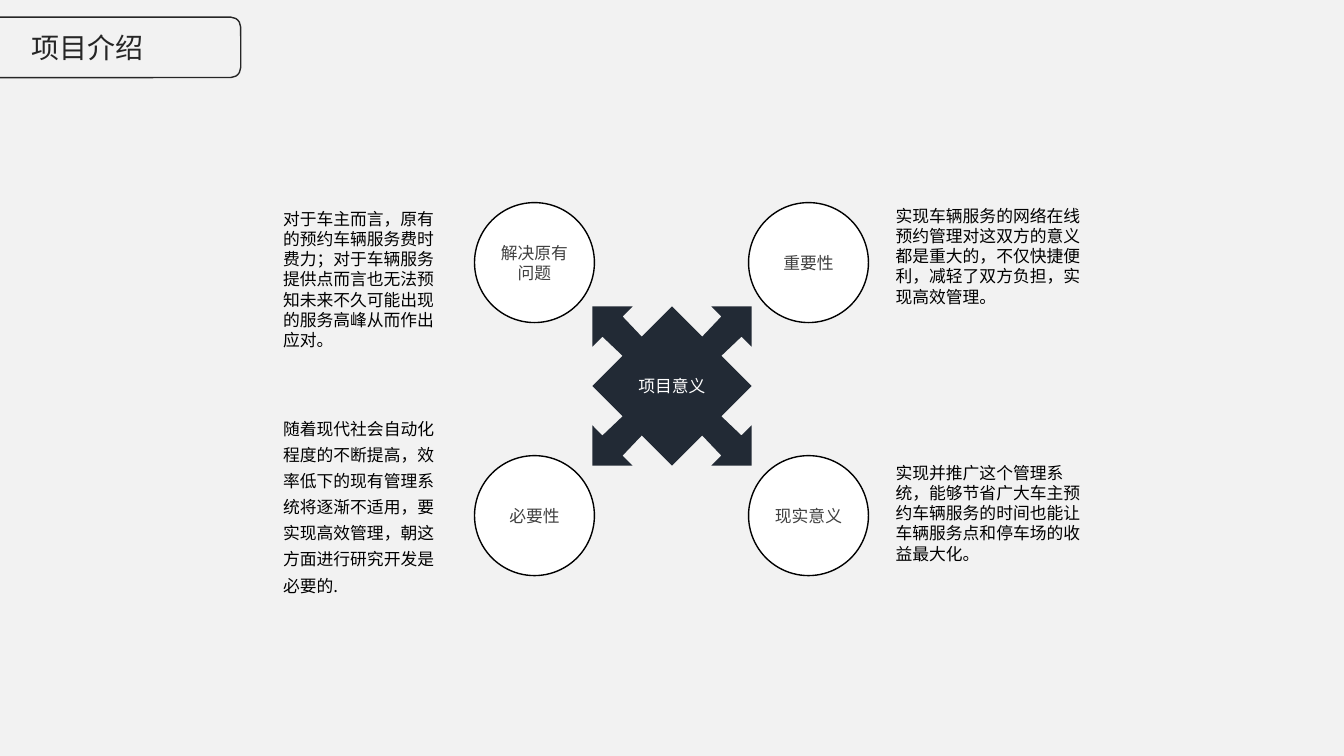
"""Build the project introduction slide with four reasons around a hub."""
from lxml import etree
from pptx import Presentation
from pptx import util as u
from pptx.dml import color
from pptx.enum import shapes, text
from pptx.oxml import ns

TITLE = "项目介绍"
HUB = "项目意义"
CIRCLES = [
    (4.71, 2.01, ["解决原有", "问题"]),
    (7.43, 2.01, ["重要性"]),
    (4.71, 4.52, ["必要性"]),
    (7.43, 4.52, ["现实意义"]),
]
NOTES = [
    (2.7, 2.01, 1.86, 1.51, None,
     "对于车主而言，原有的预约车辆服务费时费力；对于车辆服务提供点而言也无法预知未来不久可能出现的服务高峰从而作出应对。"),
    (8.78, 1.98, 2.19, 1.11, None,
     "实现车辆服务的网络在线预约管理对这双方的意义都是重大的，不仅快捷便利，减轻了双方负担，实现高效管理。"),
    (2.7, 4.03, 1.72, 1.93, 1.3,
     "随着现代社会自动化程度的不断提高，效率低下的现有管理系统将逐渐不适用，要实现高效管理，朝这方面进行研究开发是必要的."),
    (8.78, 4.53, 2.19, 1.11, None,
     "实现并推广这个管理系统，能够节省广大车主预约车辆服务的时间也能让车辆服务点和停车场的收益最大化。"),
]
DIAMETER = 1.19
HUB_CENTER = (6.67, 3.83)
HUB_QUARTER = [(-0.79, -0.79), (-0.39, -0.79), (-0.49, -0.69), (-0.3, -0.49),
               (0, -0.79), (0.3, -0.49), (0.49, -0.69), (0.39, -0.79)]
COLORS = {"background": "F2F2F2", "title": "262626", "circle": "FFFFFF",
          "outline": "000000", "label": "404040", "hub": "222A35",
          "hub_text": "FFFFFF", "note": "000000"}
BODY_FONT = "Noto Sans CJK SC"
TITLE_FONT = "League Spartan"


def rgb(name):
    """Return the named colour."""
    return color.RGBColor.from_string(COLORS[name])


def write(shape, lines, color_name, alignment, margins, size=12, font_name=BODY_FONT):
    """Fill a shape with formatted paragraphs."""
    frame = shape.text_frame
    frame.margin_left = frame.margin_right = u.Inches(margins[0])
    frame.margin_top = frame.margin_bottom = u.Inches(margins[1])
    frame.word_wrap = True
    frame.text = "\n".join(lines)
    for paragraph in frame.paragraphs:
        paragraph.alignment = alignment
        for run in paragraph.runs:
            run.font.size = u.Pt(size)
            run.font.name = font_name
            run.font.color.rgb = rgb(color_name)
            east_asian = etree.SubElement(run.font._element, ns.qn("a:ea"))
            east_asian.set("typeface", font_name)
    return frame


def style(shape, fill=None, line=None):
    """Set the fill and outline of a shape and drop its shadow."""
    shape.shadow.inherit = False
    if fill:
        shape.fill.solid()
        shape.fill.fore_color.rgb = rgb(fill)
    else:
        shape.fill.background()
    if line:
        shape.line.color.rgb = rgb(line)
        shape.line.width = u.Pt(1)
    else:
        shape.line.fill.background()


def add_title(slide):
    """Place the title and its rounded frame."""
    frame_shape = slide.shapes.add_shape(
        shapes.MSO_SHAPE.ROUNDED_RECTANGLE, *map(u.Inches, (-0.57, 0.17, 2.96, 0.6)))
    style(frame_shape, line="title")
    title = slide.shapes.title
    title.left, title.top, title.width, title.height = map(u.Inches, (0.21, 0.25, 1.4, 0.44))
    frame = write(title, [TITLE], "title", text.PP_ALIGN.LEFT, (0.1, 0.05), 20, TITLE_FONT)
    frame.auto_size = text.MSO_AUTO_SIZE.NONE
    frame.vertical_anchor = text.MSO_ANCHOR.TOP


def add_circle(slide, left, top, lines):
    """Add one labelled circle."""
    circle = slide.shapes.add_shape(
        shapes.MSO_SHAPE.OVAL, *map(u.Inches, (left, top, DIAMETER, DIAMETER)))
    style(circle, "circle", "outline")
    frame = write(circle, lines, "label", text.PP_ALIGN.CENTER, (0, 0))
    frame.vertical_anchor = text.MSO_ANCHOR.MIDDLE


def add_hub(slide):
    """Add the four-arrow hub by turning one quarter of its outline."""
    outline, quarter = [], HUB_QUARTER
    for _ in range(4):
        outline += quarter
        quarter = [(-y, x) for x, y in quarter]
    points = [(u.Inches(HUB_CENTER[0] + x), u.Inches(HUB_CENTER[1] + y)) for x, y in outline]
    builder = slide.shapes.build_freeform(*points[0])
    builder.add_line_segments(points[1:], close=True)
    hub = builder.convert_to_shape()
    style(hub, "hub")
    frame = write(hub, [HUB], "hub_text", text.PP_ALIGN.CENTER, (0, 0))
    frame.vertical_anchor = text.MSO_ANCHOR.MIDDLE


def add_note(slide, left, top, width, height, spacing, note):
    """Add one explanation without hanging punctuation; spaced notes are justified."""
    box = slide.shapes.add_textbox(*map(u.Inches, (left, top, width, height)))
    alignment = text.PP_ALIGN.JUSTIFY if spacing else text.PP_ALIGN.LEFT
    paragraph = write(box, [note], "note", alignment, (0.11, 0.06)).paragraphs[0]
    paragraph._p.get_or_add_pPr().set("hangingPunct", "0")
    if spacing:
        paragraph.line_spacing = spacing


def main():
    """Create and save the presentation."""
    presentation = Presentation()
    presentation.slide_width, presentation.slide_height = u.Inches(13.34), u.Inches(7.5)
    slide = presentation.slides.add_slide(presentation.slide_layouts[5])
    slide.background.fill.solid()
    slide.background.fill.fore_color.rgb = rgb("background")
    add_title(slide)
    for circle in CIRCLES:
        add_circle(slide, *circle)
    add_hub(slide)
    for note in NOTES:
        add_note(slide, *note)
    presentation.save("out.pptx")


if __name__ == "__main__":
    main()
